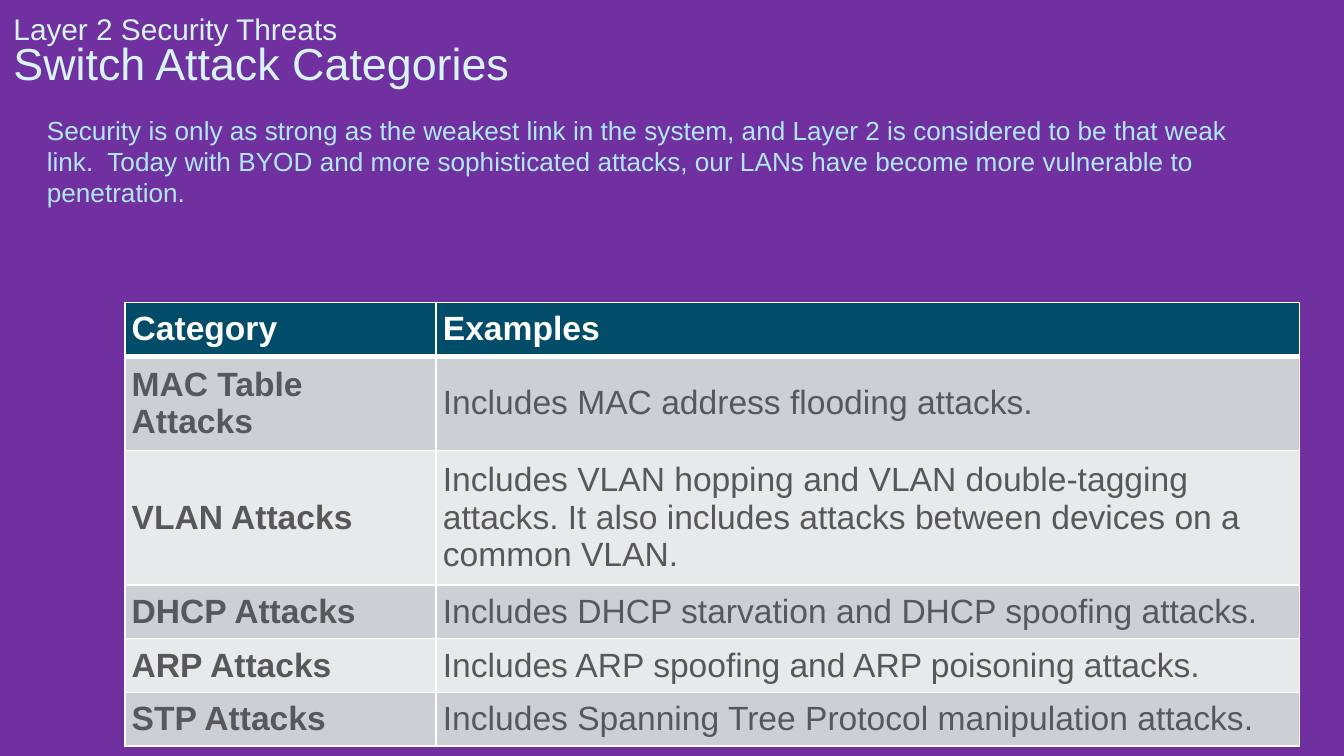
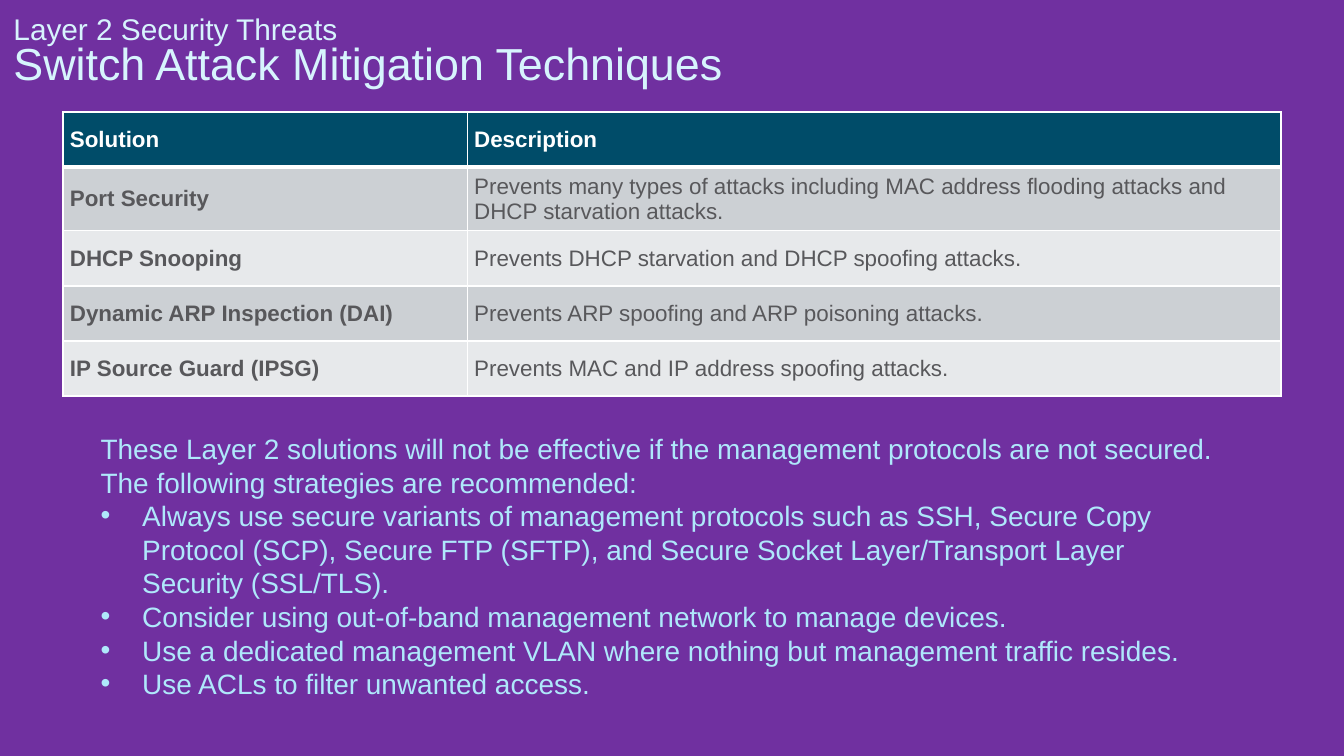
from lxml.etree import SubElement
from pptx import Presentation
from pptx.dml.color import RGBColor
from pptx.enum.text import MSO_ANCHOR, MSO_AUTO_SIZE, PP_ALIGN
from pptx.oxml.ns import qn
from pptx.util import Inches, Pt

WIDTH = Inches(10)
HEIGHT = WIDTH * 9 // 16
FONT = "Arial"
BACKGROUND, TITLE, BODY = "7030A0", "D7F4FD", "AFE8FB"
WHITE, HEADER, TABLE_TEXT = "FFFFFF", "004C69", "58585B"
BANDS = ("CCD0D4", "E7E9EB")
TOPIC = "Layer 2 Security Threats"

CATEGORIES = [
    ("Category", "Examples"),
    ("MAC Table Attacks", "Includes MAC address flooding attacks."),
    ("VLAN Attacks", "Includes VLAN hopping and VLAN double-tagging attacks. "
     "It also includes attacks between devices on a common VLAN."),
    ("DHCP Attacks", "Includes DHCP starvation and DHCP spoofing attacks."),
    ("ARP Attacks", "Includes ARP spoofing and ARP poisoning attacks."),
    ("STP Attacks", "Includes Spanning Tree Protocol manipulation attacks."),
]
SOLUTIONS = [
    ("Solution", "Description"),
    ("Port Security", "Prevents many types of attacks including MAC address "
     "flooding attacks and DHCP starvation attacks."),
    ("DHCP Snooping", "Prevents DHCP starvation and DHCP spoofing attacks."),
    ("Dynamic ARP Inspection (DAI)", "Prevents ARP spoofing and ARP poisoning attacks."),
    ("IP Source Guard (IPSG)", "Prevents MAC and IP address spoofing attacks."),
]
WEAKEST_LINK = (
    "Security is only as strong as the weakest link in the system, and Layer 2 is "
    "considered to be that weak link.  Today with BYOD and more sophisticated attacks, "
    "our LANs have become more vulnerable to penetration."
)
RECOMMENDATION = (
    "These Layer 2 solutions will not be effective if the management protocols are not "
    "secured. The following strategies are recommended:"
)
STRATEGIES = [
    "Always use secure variants of management protocols such as SSH, Secure Copy Protocol "
    "(SCP), Secure FTP (SFTP), and Secure Socket Layer/Transport Layer Security (SSL/TLS).",
    "Consider using out-of-band management network to manage devices.",
    "Use a dedicated management VLAN where nothing but management traffic resides.",
    "Use ACLs to filter unwanted access.",
]


def color(value):
    return RGBColor.from_string(value)


def share(left, top, width, height):
    return [round(part * whole) for part, whole in
            zip((left, top, width, height), (WIDTH, HEIGHT) * 2)]


def style(paragraph, size, text_color, bold=False):
    paragraph.font.name = FONT
    paragraph.font.size = Pt(size)
    paragraph.font.bold = bold
    paragraph.font.color.rgb = color(text_color)


def add_bullet(paragraph, indent=Inches(0.31)):
    properties = paragraph._p.get_or_add_pPr()
    properties.set("marL", str(indent))
    properties.set("indent", str(-indent))
    for tag, attributes in (("a:buFont", {"typeface": FONT}), ("a:buChar", {"char": "•"})):
        element = properties.makeelement(qn(tag), attributes)
        properties.insert_element_before(element, "a:tabLst", "a:defRPr", "a:extLst")


def add_slide(presentation, heading):
    slide = presentation.slides.add_slide(presentation.slide_layouts[5])
    slide.background.fill.solid()
    slide.background.fill.fore_color.rgb = color(BACKGROUND)
    title = slide.shapes.title
    title.left, title.top, title.width, title.height = share(0, 0, 0.913, 0.142)
    frame = title.text_frame
    frame.auto_size = MSO_AUTO_SIZE.NONE
    frame.vertical_anchor = MSO_ANCHOR.MIDDLE
    paragraph = frame.paragraphs[0]
    paragraph.alignment = PP_ALIGN.LEFT
    paragraph.line_spacing = 0.8
    style(paragraph, 16, TITLE)
    paragraph.add_run().text = TOPIC
    paragraph.add_line_break()
    run = paragraph.add_run()
    run.text = heading
    run.font.size = Pt(24)
    return slide


def add_text(slide, area, size, paragraphs, bullets=(), space_before=0):
    frame = slide.shapes.add_textbox(*share(*area)).text_frame
    frame.word_wrap = True
    for index, text in enumerate([*paragraphs, *bullets]):
        paragraph = frame.add_paragraph() if index else frame.paragraphs[0]
        paragraph.text = text
        paragraph.space_before = Pt(space_before)
        style(paragraph, size, BODY)
        if index >= len(paragraphs):
            add_bullet(paragraph)


def add_borders(cell, bottom):
    properties = cell._tc.get_or_add_tcPr()
    for side, points in (("lnL", 1), ("lnR", 1), ("lnT", 1), ("lnB", bottom)):
        line = SubElement(properties, qn(f"a:{side}"), w=str(Pt(points)))
        fill = SubElement(line, qn("a:solidFill"))
        SubElement(fill, qn("a:srgbClr"), val=WHITE)


def format_cell(cell, text, size, row, column):
    is_header = row == 0
    cell.text = text
    cell.vertical_anchor = MSO_ANCHOR.MIDDLE
    cell.margin_left = cell.margin_right = Inches(0.05)
    cell.margin_top = cell.margin_bottom = Inches(0.05)
    style(cell.text_frame.paragraphs[0], size, WHITE if is_header else TABLE_TEXT,
          is_header or column == 0)
    add_borders(cell, 3 if is_header else 1)
    cell.fill.solid()
    cell.fill.fore_color.rgb = color(HEADER if is_header else BANDS[(row - 1) % 2])


def add_grid(slide, area, rows, size, first_column, row_heights):
    left, top, width, height = share(*area)
    frame = slide.shapes.add_table(len(rows), 2, left, top, width, height)
    table = frame.table
    table.first_row = table.horz_banding = False
    table.columns[0].width = round(width * first_column)
    table.columns[1].width = width - table.columns[0].width
    for row, (texts, row_height) in enumerate(zip(rows, row_heights)):
        table.rows[row].height = Inches(row_height)
        for column, text in enumerate(texts):
            format_cell(table.cell(row, column), text, size, row, column)
    frame.height = height


def main():
    presentation = Presentation()
    presentation.slide_width, presentation.slide_height = WIDTH, HEIGHT

    categories = add_slide(presentation, "Switch Attack Categories")
    add_text(categories, (0.025, 0.142, 0.932, 0.198), 14, [WEAKEST_LINK], space_before=2.8)
    add_grid(categories, (0.093, 0.4, 0.874, 0.456), CATEGORIES, 18, 0.265,
             (0.27, 0.38, 0.69, 0.38, 0.38, 0.38))

    mitigation = add_slide(presentation, "Switch Attack Mitigation Techniques")
    add_grid(mitigation, (0.047, 0.148, 0.906, 0.379), SOLUTIONS, 12, 0.332,
             [0.41] * len(SOLUTIONS))
    add_text(mitigation, (0.065, 0.562, 0.848, 0.377), 15, [RECOMMENDATION], STRATEGIES)

    presentation.save("out.pptx")


if __name__ == "__main__":
    main()
